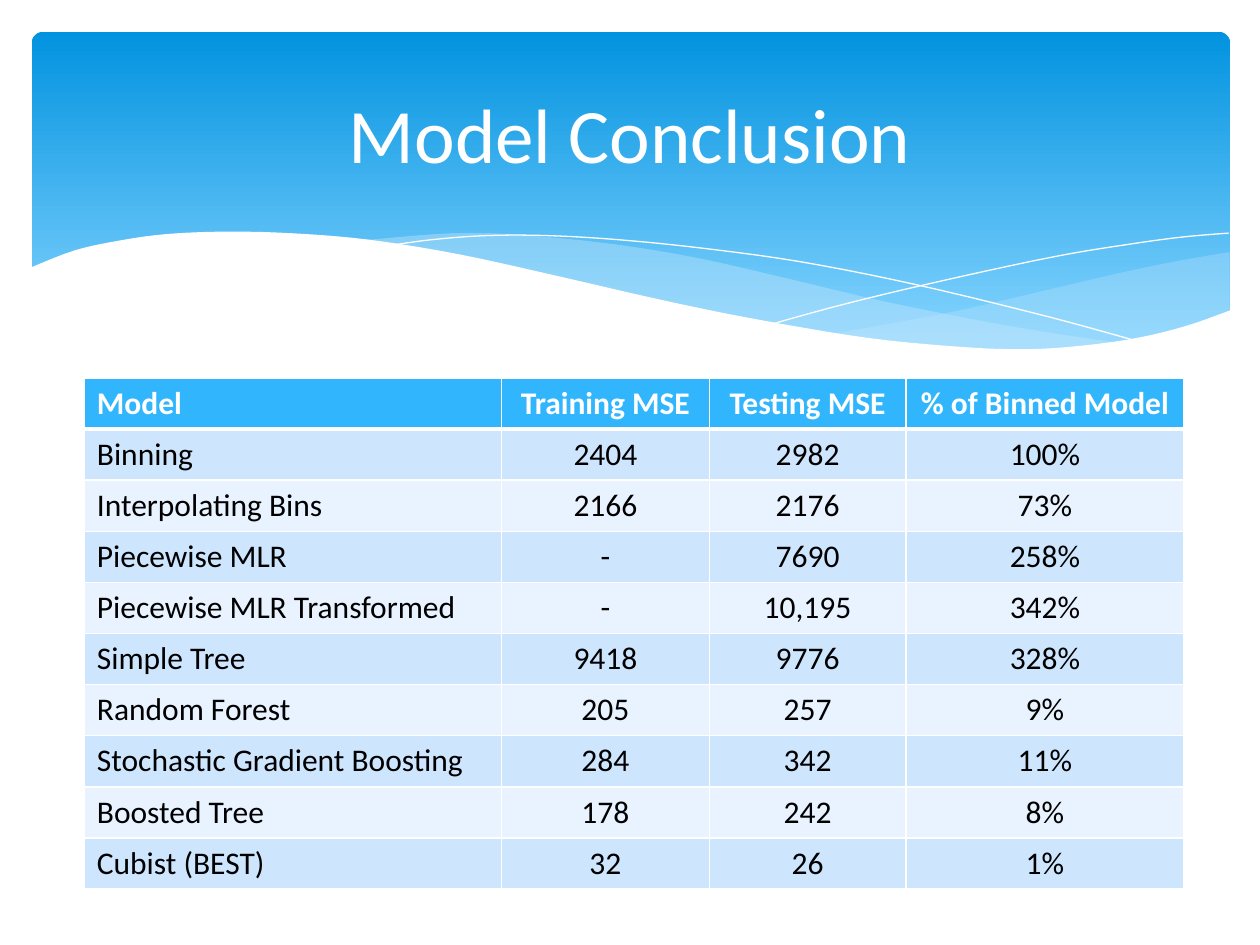
"""Build the Model Conclusion slide: a wave banner above a table of model errors."""
from dataclasses import dataclass
from itertools import chain

from lxml import etree
from pptx import Presentation, util as u
from pptx.dml.color import RGBColor
from pptx.enum import shapes, text
from pptx.oxml.ns import qn

WHITE = RGBColor(0xFF, 0xFF, 0xFF)
BLACK = RGBColor(0x00, 0x00, 0x00)
SKY_TOP = RGBColor(0x02, 0x93, 0xE0)
SKY_BOTTOM = RGBColor(0x83, 0xD3, 0xFE)
MIST = RGBColor(0xC6, 0xE7, 0xFC)
HEADER_BLUE = RGBColor(0x31, 0xB6, 0xFD)
BAND_DARK = RGBColor(0xCE, 0xE5, 0xFE)
BAND_LIGHT = RGBColor(0xE8, 0xF3, 0xFF)
FONT = "Calibri"

Point = tuple[float, float]


@dataclass(frozen=True)
class Wave:
    edges: tuple[tuple[Point, ...], ...]
    fill: RGBColor | None = None
    opacity: int = 100


@dataclass(frozen=True)
class ModelResult:
    model: str
    training: str
    testing: str
    share: str

    def cells(self) -> tuple[str, ...]:
        return self.model, self.training, self.testing, self.share


WAVES = (
    Wave((((24.79, 5.08), (23.75, 5.26), (22.63, 5.49), (21.13, 5.84), (19.13, 6.3), (16.79, 6.73)),
          ((16.79, 6.73), (18.26, 6.91), (19.84, 7.04), (21.21, 7.04), (22.38, 6.93), (23.57, 6.68),
           (24.79, 6.27))), MIST, 29),
    Wave((((22.68, 6.93), (20.5, 6.6), (17.93, 6.1), (15.98, 5.64), (14.1, 5.21), (12.42, 4.93),
           (10.67, 4.75), (9.17, 4.7), (7.26, 4.85)),
          ((7.26, 4.85), (9.19, 5.16), (11.4, 5.64), (13.46, 6.1), (15.7, 6.55), (18.01, 6.91),
           (19.94, 7.06), (21.29, 7.06), (22.68, 6.93))), MIST, 40),
    Wave((((7.85, 4.95), (8.74, 4.83), (9.83, 4.75), (11, 4.75), (12.42, 4.83), (14.12, 5),
           (16.15, 5.28), (18.47, 5.74), (21.11, 6.38), (23.04, 6.91)),)),
    Wave((((15.57, 6.53), (17.07, 6.12), (19, 5.66), (21.23, 5.18), (22.73, 4.93), (23.83, 4.78),
           (24.77, 4.7)),)),
    Wave((((24.82, 6.25), (23.88, 6.58), (22.83, 6.83), (21.59, 6.99), (20.55, 7.04), (19.33, 6.99),
           (17.48, 6.81), (15.32, 6.45), (13.44, 6.07), (11.35, 5.59), (9.27, 5.13), (7.42, 4.83),
           (5.84, 4.7), (4.5, 4.67), (3.35, 4.72), (2.41, 4.85), (1.5, 5.05), (0.58, 5.41)),
          ((0.58, 8.36), (24.82, 8.36))), WHITE),
)

RESULTS = (
    ModelResult("Model", "Training MSE", "Testing MSE", "% of Binned Model"),
    ModelResult("Binning", "2404", "2982", "100%"),
    ModelResult("Interpolating Bins", "2166", "2176", "73%"),
    ModelResult("Piecewise MLR", "-", "7690", "258%"),
    ModelResult("Piecewise MLR Transformed", "-", "10,195", "342%"),
    ModelResult("Simple Tree", "9418", "9776", "328%"),
    ModelResult("Random Forest", "205", "257", "9%"),
    ModelResult("Stochastic Gradient Boosting", "284", "342", "11%"),
    ModelResult("Boosted Tree", "178", "242", "8%"),
    ModelResult("Cubist (BEST)", "32", "26", "1%"),
)
COLUMN_WIDTHS = (8.41, 4.19, 3.96, 5.61)
TABLE_HEIGHT = 10.16


def smooth(knots: tuple[Point, ...], steps: int = 5) -> list[Point]:
    """Return points on a Catmull-Rom curve through the knots, in EMU."""
    padded = (knots[0], *knots, knots[-1])
    curve = []
    for a, b, c, d in zip(padded, padded[1:], padded[2:], padded[3:]):
        for t in (step / steps for step in range(steps)):
            curve.append(tuple(
                u.Cm(0.5 * (2 * q + (r - p) * t + (2 * p - 5 * q + 4 * r - s) * t ** 2
                            + (3 * q - p - 3 * r + s) * t ** 3))
                for p, q, r, s in zip(a, b, c, d)))
    return curve + [tuple(u.Cm(value) for value in knots[-1])]


def draw_banner(slide) -> None:
    banner = slide.shapes.add_shape(shapes.MSO_SHAPE.ROUNDED_RECTANGLE,
                                    u.Cm(0.64), u.Cm(0.64), u.Cm(24.16), u.Cm(6.86))
    banner.adjustments[0] = 0.034
    banner.shadow.inherit = False
    banner.line.fill.background()
    banner.fill.gradient()
    banner.fill.gradient_angle = 270
    for stop, position, color in zip(banner.fill.gradient_stops, (0, 0.9), (SKY_TOP, SKY_BOTTOM)):
        stop.position = position
        stop.color.rgb = color


def draw_wave(slide, wave: Wave) -> None:
    start, *rest = chain.from_iterable(map(smooth, wave.edges))
    builder = slide.shapes.build_freeform(*start)
    builder.add_line_segments(rest, close=wave.fill is not None)
    outline = builder.convert_to_shape()
    outline.shadow.inherit = False
    if wave.fill is None:
        outline.fill.background()
        outline.line.color.rgb = WHITE
        outline.line.width = u.Pt(0)
        return
    outline.line.fill.background()
    outline.fill.solid()
    outline.fill.fore_color.rgb = wave.fill
    if wave.opacity < 100:
        tint = outline.fill._xPr.find(qn("a:solidFill"))[0]
        etree.SubElement(tint, qn("a:alpha"), val=str(wave.opacity * 1000))


def set_borders(cell, top: int, bottom: int) -> None:
    properties = cell._tc.get_or_add_tcPr()
    for index, (side, points) in enumerate((("L", 1), ("R", 1), ("T", top), ("B", bottom))):
        border = etree.Element(qn(f"a:ln{side}"), w=str(u.Pt(points)))
        fill = etree.SubElement(border, qn("a:solidFill"))
        etree.SubElement(fill, qn("a:srgbClr"), val=str(WHITE))
        properties.insert(index, border)


def draw_results(slide) -> None:
    table = slide.shapes.add_table(len(RESULTS), len(COLUMN_WIDTHS), u.Cm(1.7), u.Cm(7.62),
                                   u.Cm(sum(COLUMN_WIDTHS)), u.Cm(TABLE_HEIGHT)).table
    for column, width in zip(table.columns, COLUMN_WIDTHS):
        column.width = u.Cm(width)
    for r, result in enumerate(RESULTS):
        header = r == 0
        band = HEADER_BLUE if header else BAND_DARK if r % 2 else BAND_LIGHT
        for c, wording in enumerate(result.cells()):
            cell = table.cell(r, c)
            cell.text = wording
            cell.fill.solid()
            cell.fill.fore_color.rgb = band
            set_borders(cell, top=3 if r == 1 else 1, bottom=3 if header else 1)
            paragraph = cell.text_frame.paragraphs[0]
            paragraph.alignment = text.PP_ALIGN.CENTER if c else text.PP_ALIGN.LEFT
            paragraph.font.name = FONT
            paragraph.font.size = u.Pt(18)
            paragraph.font.bold = header
            paragraph.font.color.rgb = WHITE if header else BLACK


def draw_title(slide) -> None:
    frame = slide.shapes.add_textbox(u.Cm(1.27), u.Cm(0.94), u.Cm(22.86), u.Cm(3.48)).text_frame
    frame.word_wrap = True
    frame.vertical_anchor = text.MSO_ANCHOR.MIDDLE
    paragraph = frame.paragraphs[0]
    paragraph.text = "Model Conclusion"
    paragraph.alignment = text.PP_ALIGN.CENTER
    paragraph.font.name = FONT
    paragraph.font.size = u.Pt(44)
    paragraph.font.color.rgb = WHITE


def main() -> None:
    deck = Presentation()
    deck.slide_width, deck.slide_height = u.Cm(25.4), u.Cm(19.05)
    slide = deck.slides.add_slide(deck.slide_layouts[6])
    draw_banner(slide)
    for wave in WAVES:
        draw_wave(slide, wave)
    draw_results(slide)
    draw_title(slide)
    deck.save("out.pptx")


main()
